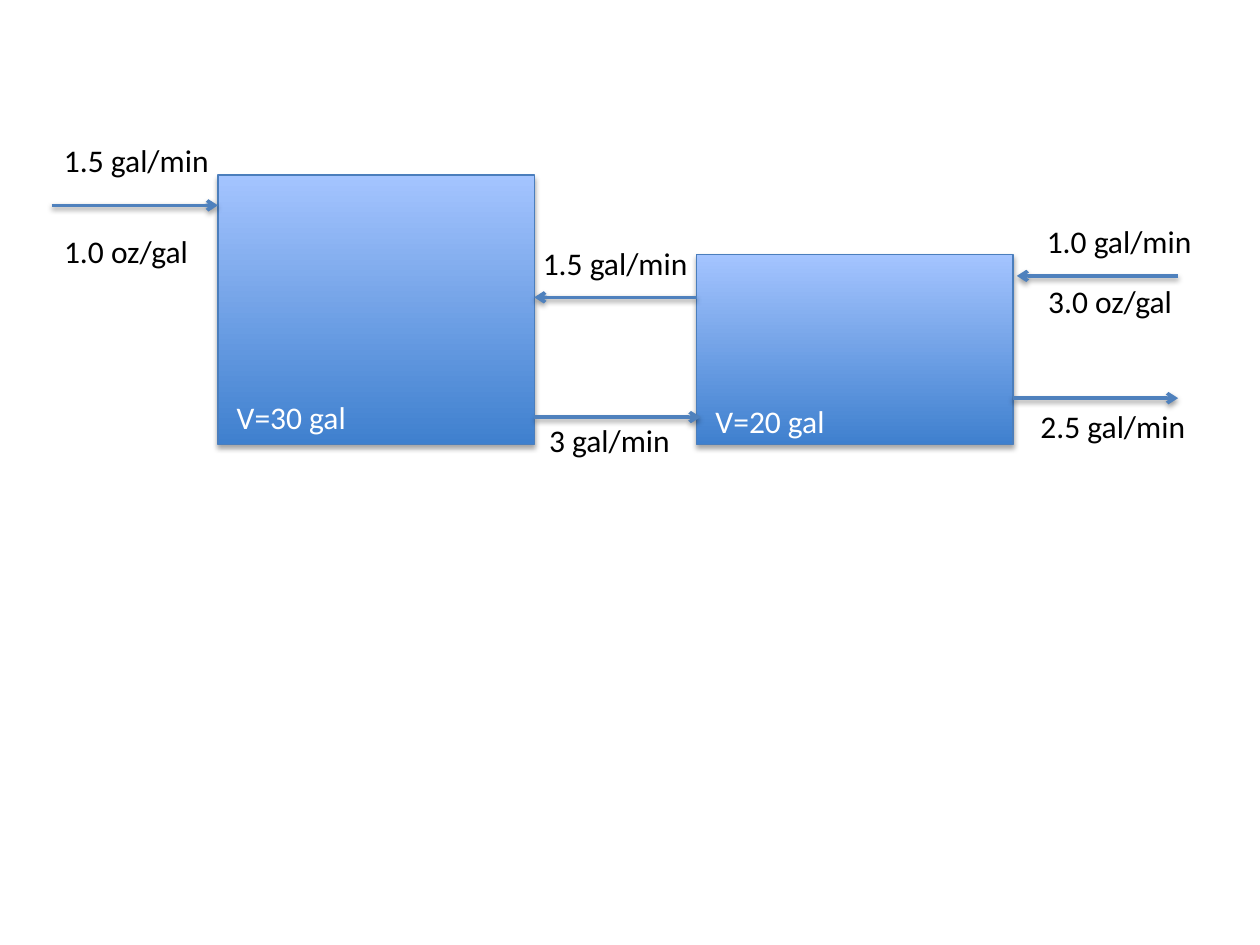
from lxml.etree import SubElement
from pptx import Presentation
from pptx.dml.color import RGBColor
from pptx.enum.shapes import MSO_CONNECTOR as CONN, MSO_SHAPE as SHAPE
from pptx.enum.text import MSO_AUTO_SIZE as AUTO
from pptx.oxml import parse_xml
from pptx.oxml.ns import nsdecls, qn
from pptx.util import Inches, Pt


def rgb(value):
    return RGBColor.from_string(value)


class Diagram:
    font = "Calibri"
    size = 18
    tank_stops = ("3F80CE", "A4C4FF")
    tank_edge = "4B7EBC"
    flow_color = "4F81BD"

    def __init__(self, slide):
        self.s = slide

    def shadow(self, sp, distance, opacity):
        props = sp._element.spPr
        for old in props.findall(qn("a:effectLst")):
            props.remove(old)
        props.append(parse_xml(
            f'<a:effectLst {nsdecls("a")}>'
            f'<a:outerShdw blurRad="{Pt(3.1)}" dist="{Pt(distance)}" '
            'dir="5400000" rotWithShape="0"><a:srgbClr val="000000">'
            f'<a:alpha val="{opacity * 1000}"/>'
            '</a:srgbClr></a:outerShdw></a:effectLst>'))

    def tank(self, x, y, w, h):
        sp = self.s.shapes.add_shape(
            SHAPE.RECTANGLE, Inches(x), Inches(y), Inches(w), Inches(h))
        sp.fill.gradient()
        sp.fill.gradient_angle = 90
        for i, (stop, color) in enumerate(
                zip(sp.fill.gradient_stops, self.tank_stops)):
            stop.position = i
            stop.color.rgb = rgb(color)
        sp.line.color.rgb = rgb(self.tank_edge)
        sp.line.width = Pt(0.75)
        self.shadow(sp, 1.8, 35)

    def flow(self, start, end, y):
        c = self.s.shapes.add_connector(
            CONN.STRAIGHT, Inches(start), Inches(y), Inches(end), Inches(y))
        c.line.color.rgb = rgb(self.flow_color)
        c.line.width = Pt(2)
        SubElement(c.line._get_or_add_ln(), qn("a:tailEnd"), type="arrow")
        self.shadow(c, 1.6, 38)

    def label(self, text, x, y, w, color="000000"):
        tb = self.s.shapes.add_textbox(
            Inches(x), Inches(y), Inches(w), Inches(0.4))
        tf = tb.text_frame
        tf.word_wrap = False
        tf.auto_size = AUTO.SHAPE_TO_FIT_TEXT
        r = tf.paragraphs[0].add_run()
        r.text = text
        r.font.name = self.font
        r.font.size = Pt(self.size)
        r.font.color.rgb = rgb(color)


def main():
    prs = Presentation()
    prs.slide_width, prs.slide_height = Inches(10), Inches(7.5)
    d = Diagram(prs.slides.add_slide(prs.slide_layouts[6]))

    tank_w, bottom = 2.51, 3.53
    left_tank, right_tank = 1.73, 5.53
    left_edge, right_edge = 0.41, 9.35
    for x, top in ((left_tank, 1.39), (right_tank, 2.02)):
        d.tank(x, top, tank_w, bottom - top)

    for start, end, y in (
        (left_edge, left_tank, 1.63),
        (left_tank + tank_w, 5.56, 3.31),
        (right_tank + tank_w, right_edge, 3.16),
        (right_tank, left_tank + tank_w, 2.36),
        (right_edge, 8.07, 2.19),
    ):
        d.flow(start, end, y)

    for text, x, y, w in (
        ("1.5 gal/min", left_edge, 1.07, 1.37),
        ("3 gal/min", 4.26, 3.29, 1.17),
        ("2.5 gal/min", 8.16, 3.18, 1.37),
        ("1.5 gal/min", 4.21, 1.89, 1.37),
        ("1.0 oz/gal", left_edge, 1.79, 1.21),
        ("1.0 gal/min", 8.21, 1.71, 1.37),
        ("3.0 oz/gal", 8.22, 2.19, 1.21),
    ):
        d.label(text, x, y, w)

    for text, x, y in (("V=30 gal", left_tank, 3.11),
                       ("V=20 gal", right_tank, 3.14)):
        d.label(text, x + 0.05, y, 1.08, "FFFFFF")

    prs.save("out.pptx")


if __name__ == "__main__":
    main()
